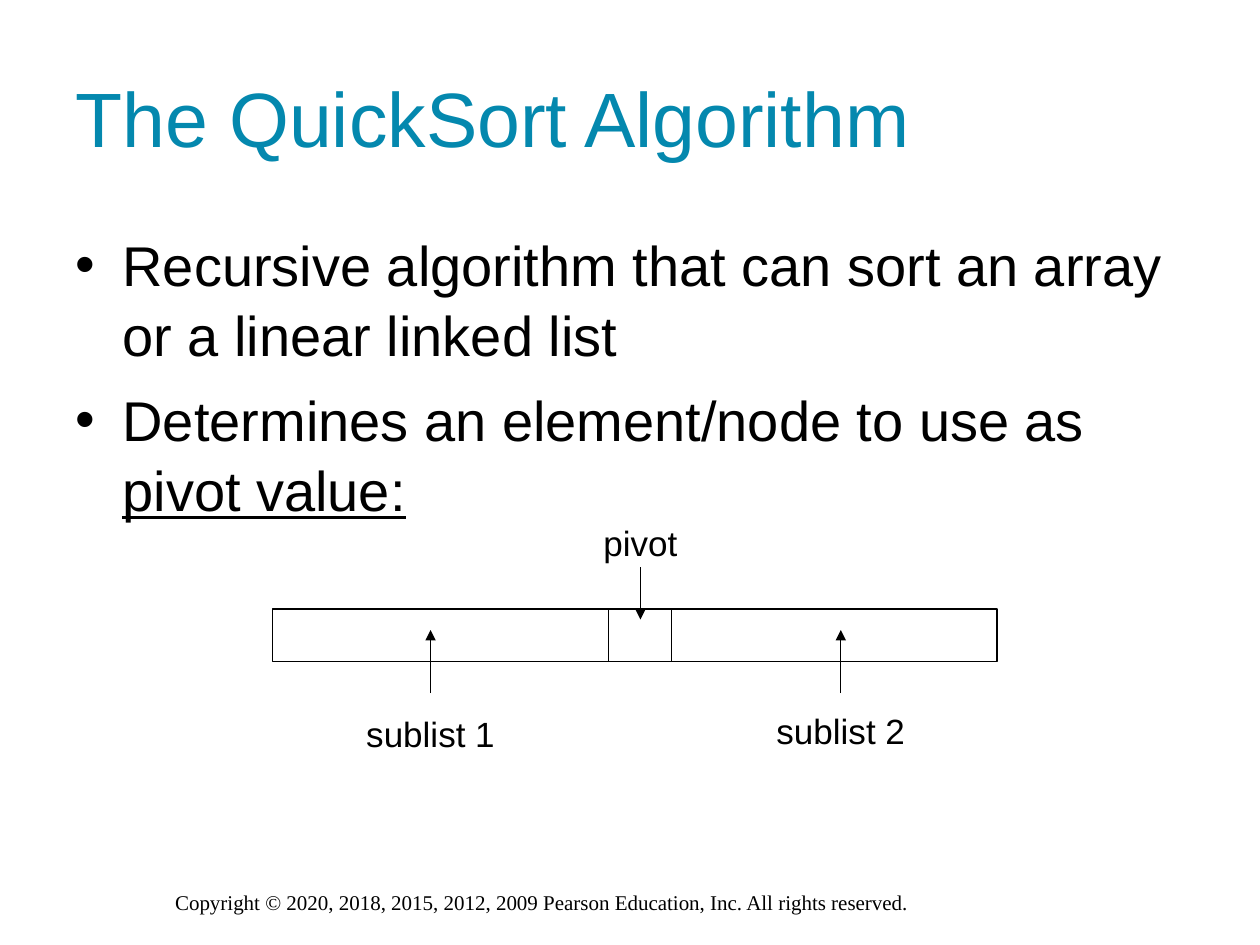
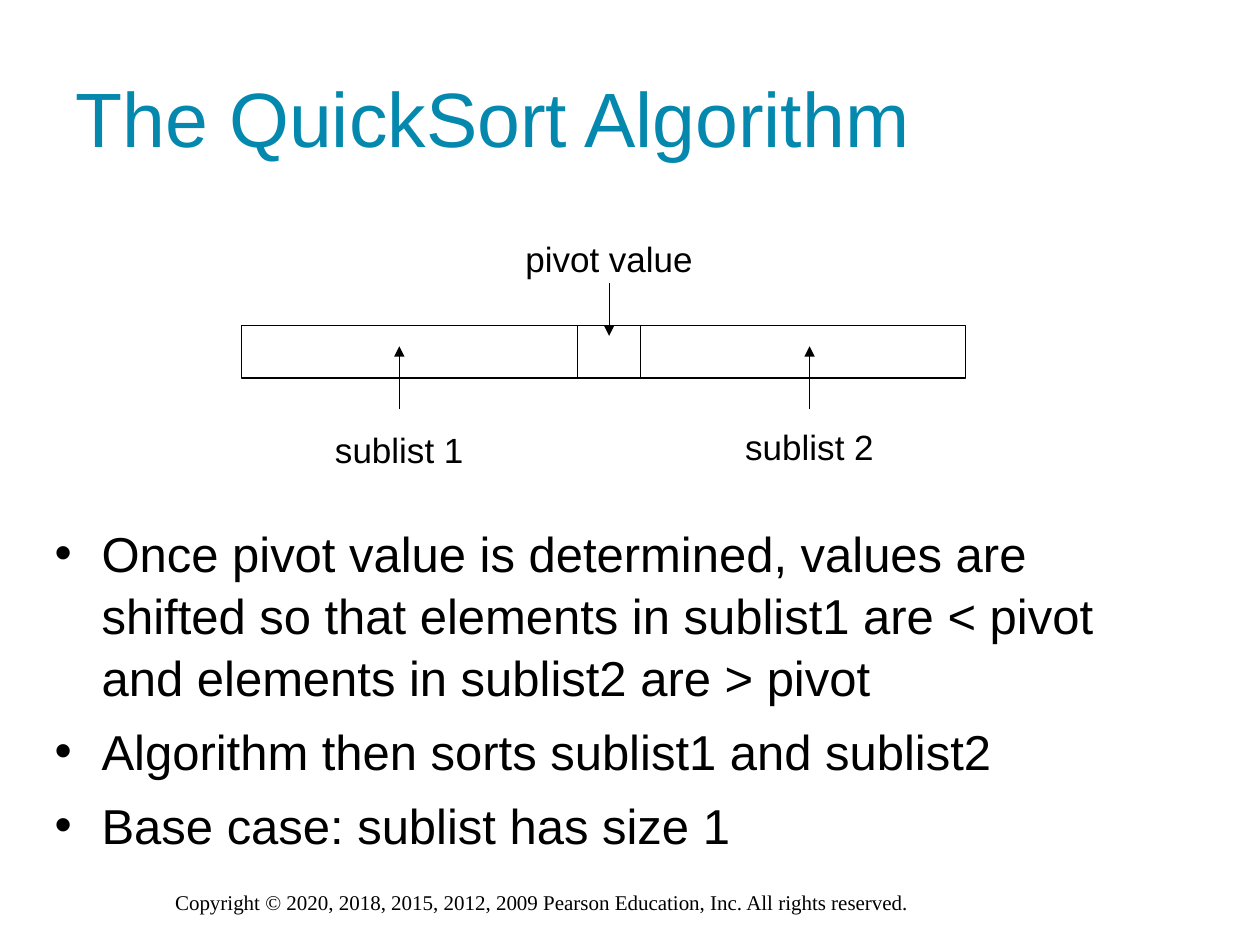
from dataclasses import dataclass

from lxml.etree import SubElement
from pptx import Presentation
from pptx.dml.color import RGBColor
from pptx.enum.shapes import MSO_CONNECTOR, MSO_SHAPE
from pptx.enum.text import MSO_ANCHOR, PP_ALIGN
from pptx.oxml.ns import qn
from pptx.util import Cm, Pt


@dataclass(frozen=True)
class Theme:
    """Colours, fonts and type sizes shared by the slides."""
    ink: RGBColor = RGBColor(0x00, 0x00, 0x00)
    accent: RGBColor = RGBColor(0x04, 0x88, 0xAE)
    body_font: str = "Arial"
    footer_font: str = "Times New Roman"
    title_size: int = 44
    label_size: int = 20
    footer_size: int = 12
    line_width: float = 0.75
    bullet_indent: float = 0.95
    bullet_spacing: float = 1.05


class Deck:
    """Draws styled elements on the current slide."""

    title = "The QuickSort Algorithm"
    footer = "Copyright © 2020, 2018, 2015, 2012, 2009 Pearson Education, Inc. All rights reserved."

    def __init__(self, theme):
        self.theme = theme
        self.presentation = Presentation()
        self.presentation.slide_width = Cm(25.4)
        self.presentation.slide_height = Cm(19.05)
        self.slide = None

    def add_slide(self):
        theme = self.theme
        self.slide = self.presentation.slides.add_slide(self.presentation.slide_layouts[6])
        footer = self.text_box(self.footer, 3.28, 17.81, 18.85, 0.76)
        self.style(footer.paragraphs[0], theme.footer_size, font=theme.footer_font)
        title = self.text_box(self.title, 1.27, 0.76, 22.86, 3.18)
        title.vertical_anchor = MSO_ANCHOR.MIDDLE
        self.style(title.paragraphs[0], theme.title_size, theme.accent)

    def style(self, paragraph, size, color=None, font=None):
        for run in paragraph.runs:
            run.font.name = font or self.theme.body_font
            run.font.size = Pt(size)
            run.font.color.rgb = color or self.theme.ink

    def text_box(self, text, left, top, width, height):
        shape = self.slide.shapes.add_textbox(Cm(left), Cm(top), Cm(width), Cm(height))
        shape.text_frame.word_wrap = True
        shape.text_frame.text = text
        return shape.text_frame

    def bullets(self, items, left, top, width, height, size, space_before, underlined=""):
        frame = self.text_box("\n".join(items), left, top, width, height)
        for paragraph in frame.paragraphs:
            self.bullet(paragraph)
            paragraph.line_spacing = self.theme.bullet_spacing
        for paragraph in frame.paragraphs[1:]:
            paragraph.space_before = Pt(space_before)
        if underlined:
            run = frame.paragraphs[-1].add_run()
            run.text = underlined
            run.font.underline = True
        for paragraph in frame.paragraphs:
            self.style(paragraph, size)

    def bullet(self, paragraph):
        properties = paragraph._p.get_or_add_pPr()
        indent = Cm(self.theme.bullet_indent)
        properties.set("marL", str(indent))
        properties.set("indent", str(-indent))
        color = SubElement(properties, qn("a:buClr"))
        SubElement(color, qn("a:srgbClr"), val=str(self.theme.ink))
        SubElement(properties, qn("a:buFont"), typeface=self.theme.body_font)
        SubElement(properties, qn("a:buChar"), char="•")

    def label(self, text, center, top, width):
        frame = self.text_box(text, center - width / 2, top, width, 1.12)
        frame.word_wrap = False
        frame.paragraphs[0].alignment = PP_ALIGN.CENTER
        self.style(frame.paragraphs[0], self.theme.label_size)

    def cell(self, left, top, width, height):
        shape = self.slide.shapes.add_shape(
            MSO_SHAPE.RECTANGLE, Cm(left), Cm(top), Cm(width), Cm(height))
        shape.shadow.inherit = False
        shape.fill.background()
        self.outline(shape)

    def arrow(self, x, start, end):
        connector = self.slide.shapes.add_connector(
            MSO_CONNECTOR.STRAIGHT, Cm(x), Cm(start), Cm(x), Cm(end))
        line = self.outline(connector)
        SubElement(line, qn("a:tailEnd"), type="triangle")
        SubElement(connector._element.spPr, qn("a:effectLst"))

    def outline(self, shape):
        shape.line.color.rgb = self.theme.ink
        shape.line.width = Pt(self.theme.line_width)
        return shape.line._get_or_add_ln()

    def partition(self, left, top, pivot_label, pivot_label_width):
        pivot = left + 7.41
        self.cell(left, top, 14.6, 1.06)
        self.cell(left + 6.77, top, 1.27, 1.06)
        self.label(pivot_label, pivot, top - 1.9, pivot_label_width)
        self.arrow(pivot, top - 0.85, top + 0.21)
        for name, offset, drop in (("sublist 1", 3.18, 1.95), ("sublist 2", 11.45, 1.9)):
            self.label(name, left + offset, top + drop, 3.1)
            self.arrow(left + offset, top + 1.69, top + 0.42)


def main():
    deck = Deck(Theme())

    deck.add_slide()
    deck.bullets(
        ["Recursive algorithm that can sort an array or a linear linked list",
         "Determines an element/node to use as "],
        1.27, 4.45, 22.86, 12.57, size=32, space_before=8, underlined="pivot value:")
    deck.partition(5.5, 12.28, "pivot", 2)

    deck.add_slide()
    deck.partition(4.87, 6.56, "pivot value", 3.9)
    deck.bullets(
        ["Once pivot value is determined, values are shifted so that elements in "
         "sublist1 are < pivot and elements in sublist2 are > pivot",
         "Algorithm then sorts sublist1 and sublist2",
         "Base case: sublist has size 1"],
        0.85, 10.37, 21.59, 6.99, size=28, space_before=7)

    deck.presentation.save("out.pptx")


if __name__ == "__main__":
    main()
